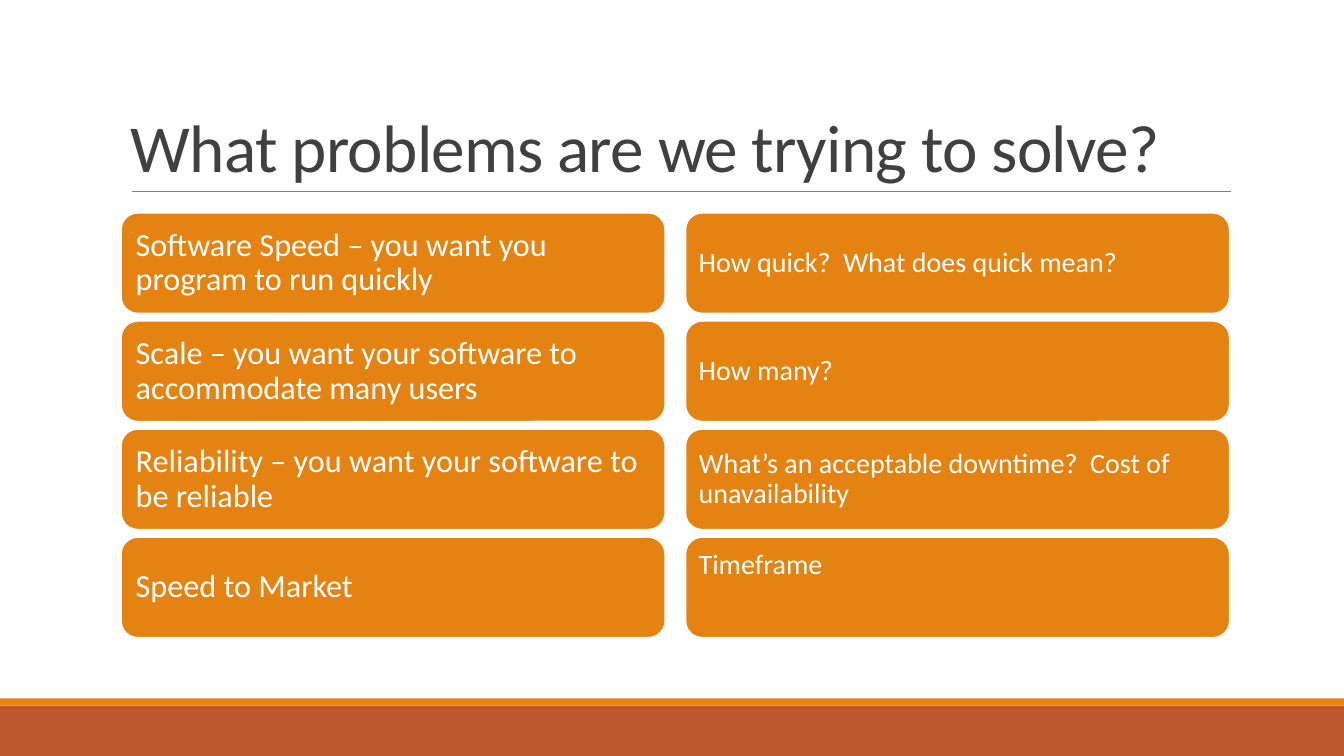
from dataclasses import dataclass

from lxml.etree import SubElement
from pptx import Presentation
from pptx.dml.color import RGBColor
from pptx.enum.shapes import MSO_CONNECTOR, MSO_SHAPE
from pptx.enum.text import MSO_ANCHOR, PP_ALIGN
from pptx.oxml.ns import qn
from pptx.util import Pt


@dataclass(frozen=True)
class Theme:
    font: str = "Calibri"
    ink: str = "404040"
    white: str = "FFFFFF"
    rule: str = "808080"
    orange: str = "E48312"
    rust: str = "BD582C"
    title_size: float = 48
    problem_size: float = 23
    question_size: float = 20


class SlideBuilder:
    """Draw styled elements on one slide, with lengths in points."""

    def __init__(self, slide, theme):
        self.slide = slide
        self.theme = theme

    def set_text(self, shape, text, size, color, line_spacing, anchor):
        frame = shape.text_frame
        frame.text = text
        frame.word_wrap = True
        frame.vertical_anchor = anchor
        paragraph = frame.paragraphs[0]
        paragraph.alignment = PP_ALIGN.LEFT
        paragraph.line_spacing = line_spacing
        font = paragraph.runs[0].font
        font.name = self.theme.font
        font.size = Pt(size)
        font.color.rgb = RGBColor.from_string(color)
        return frame

    def block(self, kind, left, top, width, height, color):
        shape = self.slide.shapes.add_shape(
            kind, Pt(left), Pt(top), Pt(width), Pt(height))
        shape.shadow.inherit = False
        shape.fill.solid()
        shape.fill.fore_color.rgb = RGBColor.from_string(color)
        shape.line.fill.background()
        return shape

    def band(self, top, height, color):
        self.block(MSO_SHAPE.RECTANGLE, 0, top, 960, height, color)

    def rule(self, left, right, top):
        line = self.slide.shapes.add_connector(
            MSO_CONNECTOR.STRAIGHT, Pt(left), Pt(top), Pt(right), Pt(top))
        line.line.color.rgb = RGBColor.from_string(self.theme.rule)
        line.line.width = Pt(0.5)
        SubElement(line._element.spPr, qn("a:effectLst"))

    def title(self, text, left, top, width, height):
        box = self.slide.shapes.add_textbox(Pt(left), Pt(top), Pt(width), Pt(height))
        frame = self.set_text(box, text, self.theme.title_size, self.theme.ink,
                              0.85, MSO_ANCHOR.BOTTOM)
        frame.paragraphs[0].runs[0].font._element.set("spc", "-50")

    def card(self, text, left, top, size, inset, anchor):
        card = self.block(MSO_SHAPE.ROUNDED_RECTANGLE, left, top, 388.8, 72,
                          self.theme.orange)
        card.line.color.rgb = RGBColor.from_string(self.theme.white)
        card.line.width = Pt(1.25)
        frame = self.set_text(card, text, size, self.theme.white, 0.9, anchor)
        frame.margin_left = frame.margin_right = Pt(inset)
        frame.margin_top = frame.margin_bottom = Pt(inset)


PROBLEMS = [
    ("Software Speed – you want you program to run quickly",
     "How quick?  What does quick mean?", MSO_ANCHOR.MIDDLE),
    ("Scale – you want your software to accommodate many users",
     "How many?", MSO_ANCHOR.MIDDLE),
    ("Reliability – you want your software to be reliable",
     "What’s an acceptable downtime?  Cost of unavailability", MSO_ANCHOR.MIDDLE),
    ("Speed to Market", "Timeframe", MSO_ANCHOR.TOP),
]


def main():
    presentation = Presentation()
    presentation.slide_width = Pt(960)
    presentation.slide_height = Pt(540)
    slide = presentation.slides.add_slide(presentation.slide_layouts[6])
    theme = Theme()
    builder = SlideBuilder(slide, theme)

    builder.band(504, 36, theme.rust)
    builder.band(498.9, 5.1, theme.orange)
    builder.rule(94.3, 879, 136.8)
    builder.title("What problems are we trying to solve?", 86.4, 22.5, 792, 114.2)

    for row, (problem, question, question_anchor) in enumerate(PROBLEMS):
        top = 152 + row * 77.2
        builder.card(problem, 86.4, top, theme.problem_size, 7.2, MSO_ANCHOR.MIDDLE)
        builder.card(question, 489.6, top, theme.question_size, 6, question_anchor)

    presentation.save("out.pptx")


if __name__ == "__main__":
    main()
